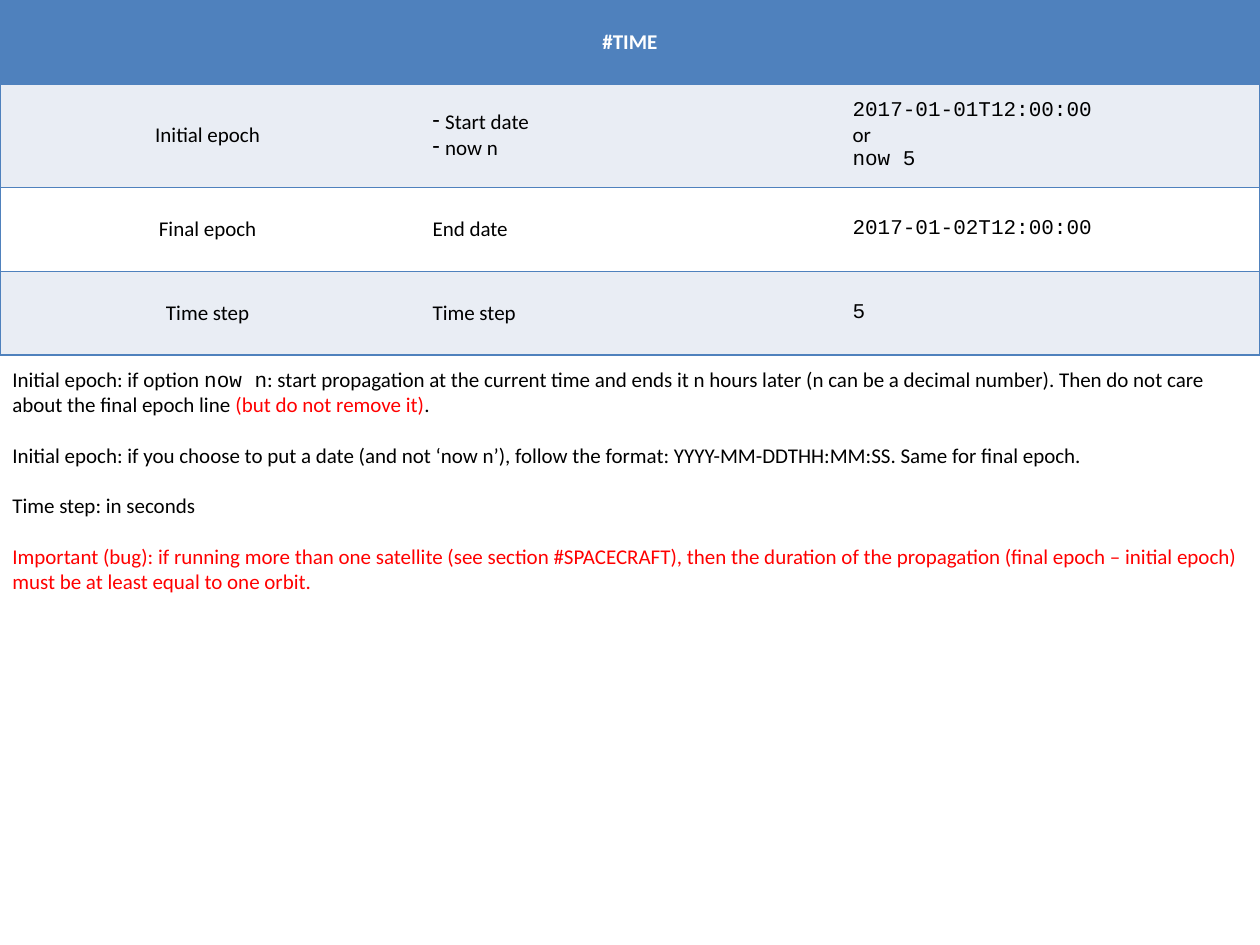
from dataclasses import dataclass

from lxml import etree
from pptx import Presentation
from pptx.dml.color import RGBColor
from pptx.enum.text import MSO_ANCHOR, MSO_AUTO_SIZE, PP_ALIGN
from pptx.oxml.ns import qn
from pptx.util import Inches, Pt

MIDDLE = MSO_ANCHOR.MIDDLE
FIT_SHAPE = MSO_AUTO_SIZE.SHAPE_TO_FIT_TEXT
LEFT, CENTER = PP_ALIGN.LEFT, PP_ALIGN.CENTER

COLORS = {
    "blue": "4F81BD",
    "band": "E9EDF4",
    "white": "FFFFFF",
    "black": "000000",
    "red": "FF0000",
}
BODY_FONT, CODE_FONT = "Calibri", "Courier New"
FONT_SIZE = Pt(12)
BORDER_WIDTH = Pt(1)
BULLET_INDENT = Inches(0.1)
SLIDE_WIDTH, SLIDE_HEIGHT = Inches(10), Inches(7.5)
COLUMN_COUNT = 3
ROW_SHARE = 1 / 15
TALL_ROW_SHARE = 0.082


@dataclass
class Run:
    text: str
    font: str = BODY_FONT
    color: str = "black"


@dataclass
class Line:
    runs: list[Run]
    align: PP_ALIGN = LEFT
    bullet: str = ""
    bold: bool = False
    space_before: float = 0


@dataclass
class Row:
    cells: list[list[Line]]
    fill: str
    share: float = ROW_SHARE


def label(text: str) -> list[Line]:
    return [Line([Run(text)], CENTER)]


def plain(text: str) -> Line:
    return Line([Run(text)])


def code(text: str) -> Line:
    return Line([Run(text, CODE_FONT)])


def dashed(text: str) -> Line:
    return Line([Run(text)], bullet="-")


ROWS = [
    Row([[Line([Run("#TIME", color="white")], CENTER, bold=True)], [], []], "blue"),
    Row([label("Initial epoch "),
         [dashed("Start date"), dashed("now n")],
         [code("2017-01-01T12:00:00"), plain("or"), code("now 5")]],
        "band", TALL_ROW_SHARE),
    Row([label("Final epoch "), [plain("End date")], [code("2017-01-02T12:00:00")]],
        "white"),
    Row([label("Time step "), [plain("Time step")], [code("5")]], "band"),
]

NOTES = [
    Line([Run("Initial epoch: if option "), Run("now n", CODE_FONT),
          Run(": start propagation at the current time and ends it n hours later "
              "(n can be a decimal number). Then do not care")]),
    Line([Run("about the final epoch line "),
          Run("(but do not remove it)", color="red"), Run(".")]),
    Line([Run("Initial epoch: if you choose to put a date (and not ‘now n’), "
              "follow the format: YYYY-MM-DDTHH:MM:SS. Same for final epoch.")],
         space_before=14.5),
    Line([Run("Time step: in seconds")], space_before=14.5),
    Line([Run("Important (bug): if running more than one satellite (see section "
              "#SPACECRAFT), then the duration of the propagation (final epoch – "
              "initial epoch) must be at least equal to one orbit.", color="red")],
         space_before=14.5),
]


def rgb(name: str) -> RGBColor:
    return RGBColor.from_string(COLORS[name])


def add_bullet(paragraph, character: str) -> None:
    properties = paragraph._p.get_or_add_pPr()
    properties.set("marL", str(BULLET_INDENT))
    properties.set("indent", str(-BULLET_INDENT))
    etree.SubElement(properties, qn("a:buChar"), char=character)


def write_lines(text_frame, lines: list[Line]) -> None:
    for index, line in enumerate(lines):
        paragraph = text_frame.add_paragraph() if index else text_frame.paragraphs[0]
        paragraph.alignment = line.align
        if line.space_before:
            paragraph.space_before = Pt(line.space_before)
        if line.bullet:
            add_bullet(paragraph, line.bullet)
        paragraph.font.size = FONT_SIZE
        paragraph.font.bold = line.bold
        for item in line.runs:
            run = paragraph.add_run()
            run.text = item.text
            run.font.size = FONT_SIZE
            run.font.bold = line.bold
            run.font.name = item.font
            run.font.color.rgb = rgb(item.color)


def set_borders(cell, visible_sides: str) -> None:
    properties = cell._tc.get_or_add_tcPr()
    for side in "LRTB":
        border = etree.SubElement(properties, qn(f"a:ln{side}"), w=str(BORDER_WIDTH))
        if side in visible_sides:
            fill = etree.SubElement(border, qn("a:solidFill"))
            etree.SubElement(fill, qn("a:srgbClr"), val=COLORS["blue"])
        else:
            etree.SubElement(border, qn("a:noFill"))


def add_time_table(slide, rows: list[Row]) -> int:
    heights = [round(SLIDE_WIDTH * row.share) for row in rows]
    table = slide.shapes.add_table(
        len(rows), COLUMN_COUNT, 0, 0, SLIDE_WIDTH, sum(heights)).table
    table.cell(0, 0).merge(table.cell(0, COLUMN_COUNT - 1))
    outer_sides = {0: "L", COLUMN_COUNT - 1: "R"}
    for row_index, row in enumerate(rows):
        table.rows[row_index].height = heights[row_index]
        for column_index, lines in enumerate(row.cells):
            cell = table.cell(row_index, column_index)
            set_borders(cell, "TB" + outer_sides.get(column_index, ""))
            cell.fill.solid()
            cell.fill.fore_color.rgb = rgb(row.fill)
            cell.vertical_anchor = MIDDLE
            write_lines(cell.text_frame, lines)
    return sum(heights)


def add_notes(slide, top: int, lines: list[Line]) -> None:
    box = slide.shapes.add_textbox(0, top, SLIDE_WIDTH, Inches(2.32))
    box.text_frame.word_wrap = True
    box.text_frame.auto_size = FIT_SHAPE
    write_lines(box.text_frame, lines)


def main() -> None:
    """Build the slide that explains the #TIME section of the input file."""
    presentation = Presentation()
    presentation.slide_width, presentation.slide_height = SLIDE_WIDTH, SLIDE_HEIGHT
    slide = presentation.slides.add_slide(presentation.slide_layouts[6])
    table_bottom = add_time_table(slide, ROWS)
    add_notes(slide, table_bottom + Inches(0.04), NOTES)
    presentation.save("out.pptx")


if __name__ == "__main__":
    main()
